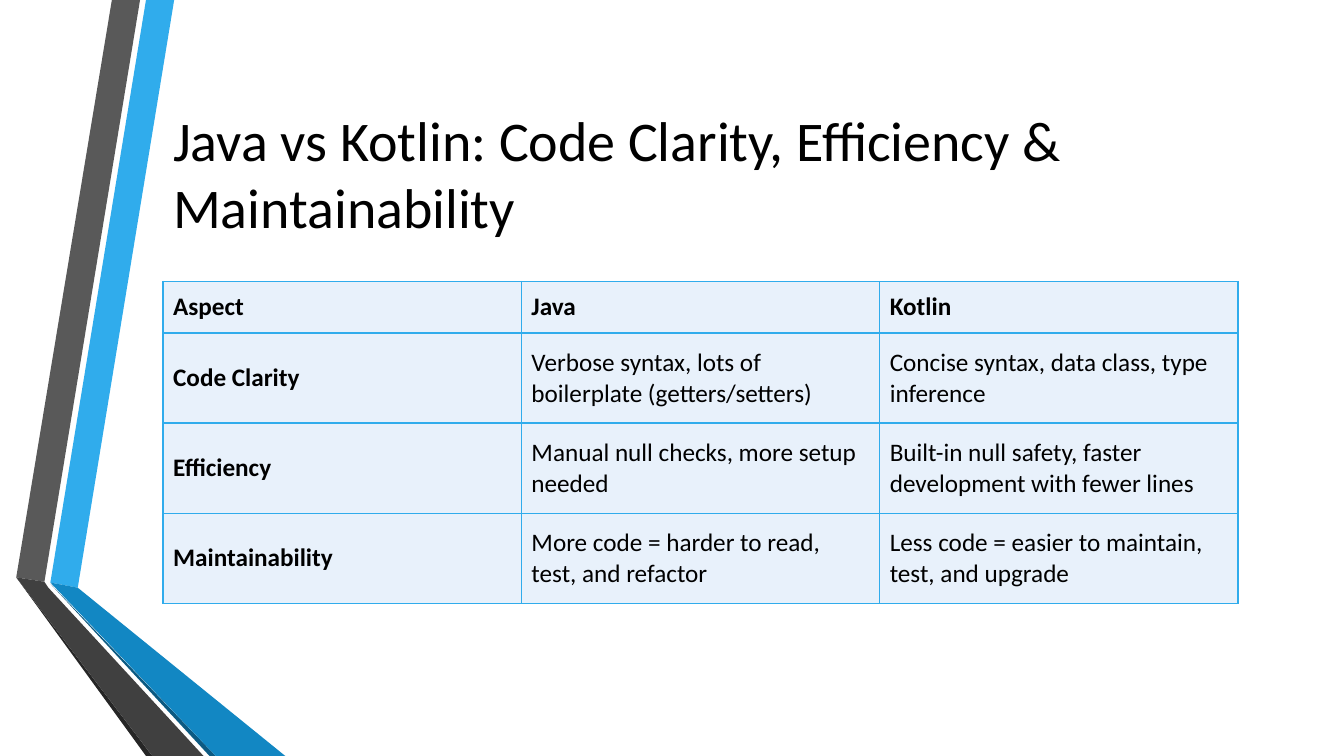
from dataclasses import dataclass

from lxml import etree
from pptx import Presentation
from pptx import util as u
from pptx.dml.color import RGBColor
from pptx.enum import text
from pptx.oxml import ns

FONT = "Calibri"
COLORS = {
    "text": "000000",
    "cell": "E8F1FB",
    "sky": "30ACEC",
    "blue": "1287C3",
    "navy": "0C5A82",
    "grey": "595959",
    "charcoal": "404040",
    "black": "262626",
}
WIDTH, HEIGHT = 33.87, 19.05  # slide size in cm


@dataclass(frozen=True)
class Ribbon:
    """A flat polygon; its corners are in cm."""
    color: str
    corners: tuple[tuple[float, float], ...]


RIBBONS = (
    Ribbon("sky", ((1.27, 14.68), (1.96, 14.81), (4.39, 0), (3.68, 0))),
    Ribbon("grey", ((3.53, 0), (2.82, 0), (0.41, 14.55), (1.12, 14.66))),
    Ribbon("black", ((0.41, 14.55), (3.68, HEIGHT), (3.84, HEIGHT))),
    Ribbon("navy", ((1.27, 14.71), (5.28, HEIGHT), (5.44, HEIGHT))),
    Ribbon("blue", ((1.27, 14.68), (5.44, HEIGHT), (7.19, HEIGHT), (1.96, 14.81))),
    Ribbon("charcoal", ((5.13, HEIGHT), (1.22, 14.81), (1.12, 14.66),
                        (0.41, 14.55), (3.84, HEIGHT))),
)

COMPARISON = (
    ("Aspect", "Java", "Kotlin"),
    ("Code Clarity", "Verbose syntax, lots of boilerplate (getters/setters)",
     "Concise syntax, data class, type inference"),
    ("Efficiency", "Manual null checks, more setup needed",
     "Built-in null safety, faster development with fewer lines"),
    ("Maintainability", "More code = harder to read, test, and refactor",
     "Less code = easier to maintain, test, and upgrade"),
)
COLUMN_WIDTH = 9.03
ROW_HEIGHTS = (1.3, 2.27, 2.27, 2.27)


def rgb(name: str) -> RGBColor:
    return RGBColor.from_string(COLORS[name])


def format_text(frame, size: float, bold: bool = False) -> None:
    for paragraph in frame.paragraphs:
        paragraph.alignment = text.PP_ALIGN.LEFT
        for run in paragraph.runs:
            run.font.name = FONT
            run.font.size = u.Pt(size)
            run.font.bold = bold
            run.font.color.rgb = rgb("text")


def draw_ribbon(slide, ribbon: Ribbon) -> None:
    start, *others = [(u.Cm(x), u.Cm(y)) for x, y in ribbon.corners]
    builder = slide.shapes.build_freeform(*start)
    builder.add_line_segments(others, close=True)
    shape = builder.convert_to_shape()
    shape.shadow.inherit = False
    shape.fill.solid()
    shape.fill.fore_color.rgb = rgb(ribbon.color)
    shape.line.fill.background()


def add_borders(cell, color: str, points: float) -> None:
    properties = cell._tc.get_or_add_tcPr()
    for position, side in enumerate(("lnL", "lnR", "lnT", "lnB")):
        line = etree.Element(ns.qn(f"a:{side}"), w=str(u.Pt(points)))
        fill = etree.SubElement(line, ns.qn("a:solidFill"))
        etree.SubElement(fill, ns.qn("a:srgbClr"), val=COLORS[color])
        properties.insert(position, line)


def write_title(slide, title: str) -> None:
    shape = slide.shapes.title
    shape.left, shape.top = u.Cm(4.11), u.Cm(1.91)
    shape.width, shape.height = u.Cm(27.84), u.Cm(4.88)
    frame = shape.text_frame
    frame.text = title
    frame.word_wrap = True
    frame.auto_size = text.MSO_AUTO_SIZE.NONE
    frame.vertical_anchor = text.MSO_ANCHOR.MIDDLE
    format_text(frame, 40)


def draw_table(slide, rows: tuple[tuple[str, ...], ...]) -> None:
    columns = len(rows[0])
    table = slide.shapes.add_table(
        len(rows), columns, u.Cm(4.11), u.Cm(7.09),
        u.Cm(columns * COLUMN_WIDTH), u.Cm(sum(ROW_HEIGHTS))).table
    table.first_row = table.horz_banding = False
    for column in table.columns:
        column.width = u.Cm(COLUMN_WIDTH)
    for i, (row, height) in enumerate(zip(rows, ROW_HEIGHTS)):
        table.rows[i].height = u.Cm(height)
        for j, words in enumerate(row):
            cell = table.cell(i, j)
            cell.text_frame.text = words
            cell.vertical_anchor = text.MSO_ANCHOR.MIDDLE
            cell.fill.solid()
            cell.fill.fore_color.rgb = rgb("cell")
            add_borders(cell, "sky", 1)
            # Header row and aspect column are bold
            format_text(cell.text_frame, 18, bold=i == 0 or j == 0)


def main() -> None:
    presentation = Presentation()
    presentation.slide_width, presentation.slide_height = u.Cm(WIDTH), u.Cm(HEIGHT)
    slide = presentation.slides.add_slide(presentation.slide_layouts[5])

    # Folded ribbons on the left edge
    for ribbon in RIBBONS:
        draw_ribbon(slide, ribbon)

    # Title and comparison
    write_title(slide, "Java vs Kotlin: Code Clarity, Efficiency & Maintainability")
    draw_table(slide, COMPARISON)

    presentation.save("out.pptx")


if __name__ == "__main__":
    main()
